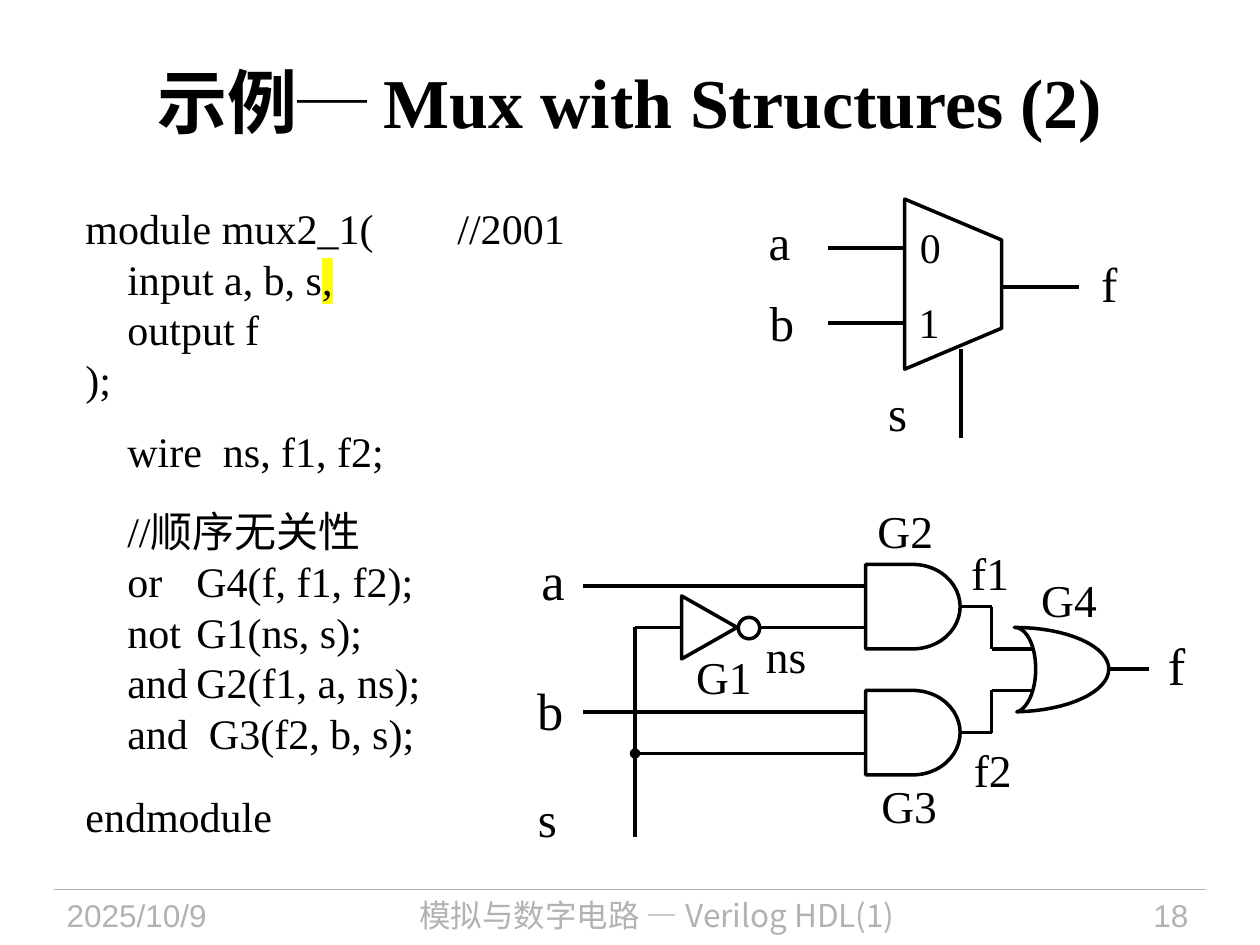
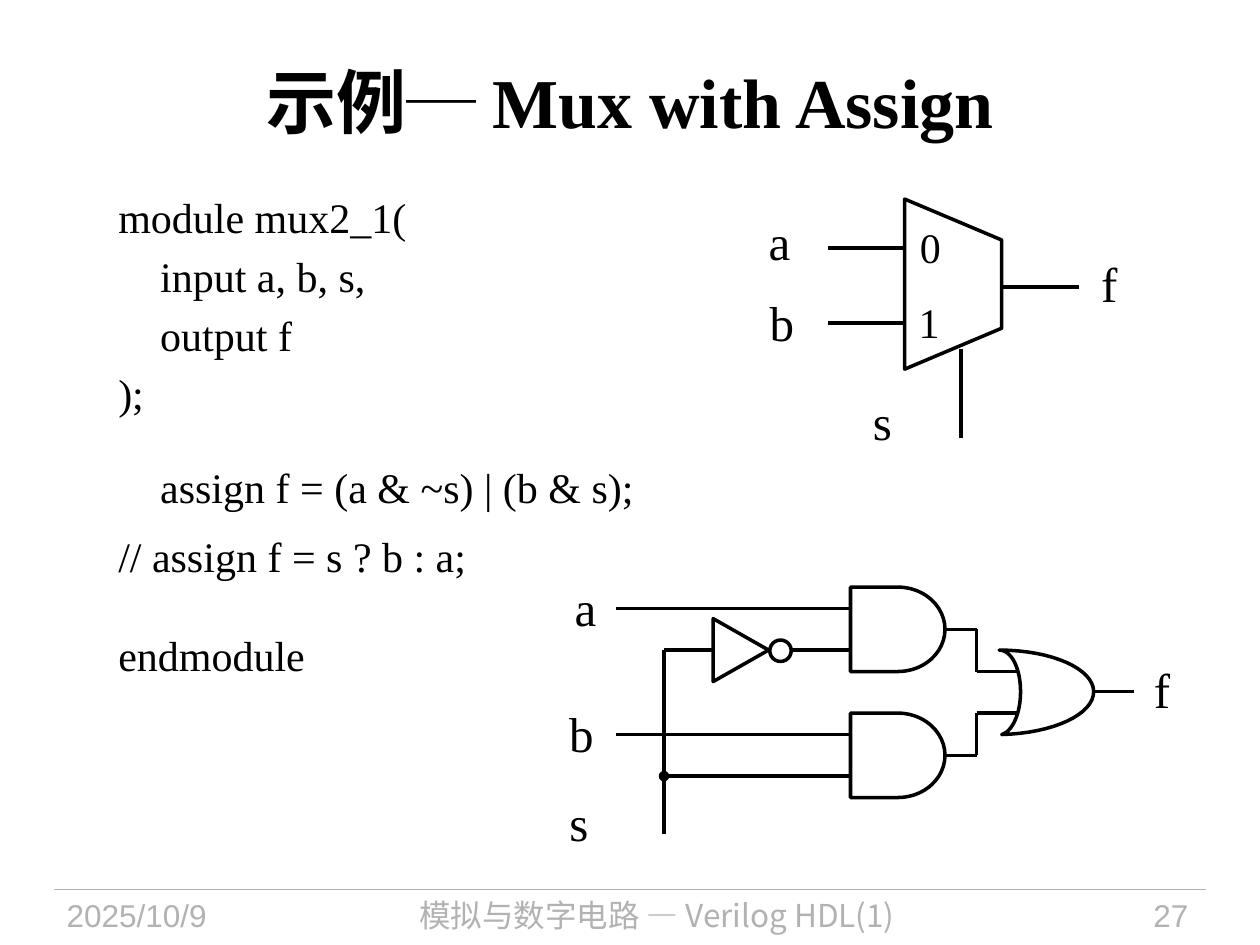
from lxml.etree import SubElement
from pptx import Presentation
from pptx.dml.color import RGBColor
from pptx.enum.shapes import MSO_CONNECTOR, MSO_SHAPE
from pptx.enum.text import MSO_ANCHOR, PP_ALIGN
from pptx.oxml.ns import qn
from pptx.util import Inches, Pt

HUE = {"ink": "000000", "gray": "B2B2B2", "mark": "FFFF00"}
SERIF, SANS, CJK = "Times New Roman", "Arial", "Noto Sans CJK SC"
ALIGN = {"l": PP_ALIGN.LEFT, "c": PP_ALIGN.CENTER, "r": PP_ALIGN.RIGHT}


def text(slide, paras, x, y, w, h, size=24, font=SERIF, hue="ink", bold=False,
         align="l", mid=False, wrap=True, inset=True, lead=None, after=0, hang=0):
    """Each paragraph is (space before, run, ...); a run is text or (text, font, mark)."""
    box = slide.shapes.add_textbox(Inches(x), Inches(y), Inches(w), Inches(h))
    frame = box.text_frame
    frame.word_wrap = wrap
    frame.vertical_anchor = MSO_ANCHOR.MIDDLE if mid else MSO_ANCHOR.TOP
    if not inset:
        frame.margin_left = frame.margin_right = 0
        frame.margin_top = frame.margin_bottom = 0
    if isinstance(paras, str):
        paras = [(0, paras)]
    for i, (before, *runs) in enumerate(paras):
        para = frame.add_paragraph() if i else frame.paragraphs[0]
        para.alignment = ALIGN[align]
        if hang:
            props = para._p.get_or_add_pPr()
            props.set("marL", str(Inches(hang)))
            props.set("indent", str(-Inches(hang)))
        if lead:
            para.line_spacing = lead
        para.space_before, para.space_after = Pt(before), Pt(after)
        for part in runs:
            words, face, mark = (part, font, None) if isinstance(part, str) else part
            run = para.add_run()
            run.text = words
            run.font.size, run.font.bold = Pt(size), bold
            run.font.color.rgb = RGBColor.from_string(HUE[hue])
            props = run._r.get_or_add_rPr()
            if mark:
                tint = SubElement(props, qn("a:highlight"))
                SubElement(tint, qn("a:srgbClr")).set("val", HUE[mark])
            run.font.name = face
            SubElement(props, qn("a:ea")).set("typeface", CJK)


def line(slide, x1, y1, x2, y2, width=2, hue="ink", dot=False, gate=None, side=None):
    """Draw a wire; a gate is joined at its left (1) or right (3) side."""
    wire = slide.shapes.add_connector(MSO_CONNECTOR.STRAIGHT, Inches(x1), Inches(y1),
                                      Inches(x2), Inches(y2))
    wire.line.color.rgb = RGBColor.from_string(HUE[hue])
    wire.line.width = Pt(width)
    if gate is not None:
        wire.begin_connect(gate, side)
    if dot:
        SubElement(wire.line._get_or_add_ln(), qn("a:headEnd")).set("type", "oval")
    SubElement(wire._element.spPr, qn("a:effectLst"))


# What differs between the slides
PAGES = [
    dict(
        title=" Mux with Structures (2)", page="18",
        code=[(0, "module mux2_1(        //2001"),
              (0, "    input a, b, s", (",", SERIF, "mark")),
              (0, "    output f"),
              (0, ");"),
              (12, "    wire  ns, f1, f2;"),
              (17, "    //顺序无关性"),
              (0, "    or\tG4(f, f1, f2);"),
              (0, "    not\tG1(ns, s);"),
              (0, "    and\tG2(f1, a, ns);"),
              (0, "    and  G3(f2, b, s);"),
              (19, "endmodule")],
        body=(0.58, 1.56, 4.53, 5.42), after=0, pick=(6.95, 2.99),
        gate=(6.87, 4.48), start=4.63, bus=5.04, base=6.64, inv=5.41,
        tags=[("a", 4.09, 4.38, 0.49, 30, "r"), ("b", 4.06, 5.41, 0.51, 30, "r"),
              ("s", 4.17, 6.28, 0.86, 28, "l"), ("f", 9.17, 5.05, 0.5, 30, "l"),
              ("ns", 5.98, 5, 0.97, 26, "l"),
              ("f1", 7.61, 4.34, 0.75, 26, "l"), ("f2", 7.63, 5.91, 0.75, 26, "l"),
              ("G1", 5.37, 5.17, 0.75, 26, "c"), ("G2", 6.81, 4.01, 0.75, 26, "c"),
              ("G3", 6.84, 6.19, 0.75, 26, "c"), ("G4", 8.11, 4.56, 0.75, 26, "c")]),
    dict(
        title=" Mux with Assign", page="27",
        code=[(0, "module mux2_1("),
              (0, "    input a, b, s,"),
              (0, "    output f"),
              (0, ");"),
              (20, "    assign f = (a & ~s) | (b & s);"),
              (6, "// assign f = s ? b : a;"),
              (22.5, "endmodule")],
        body=(0.84, 1.47, 7.19, 5.51), after=4.8, pick=(6.83, 3.06),
        gate=(6.75, 4.66), start=4.89, bus=5.27, base=6.62, inv=5.66,
        tags=[("a", 4.34, 4.61, 0.49, 28, "r"), ("b", 4.3, 5.61, 0.51, 28, "r"),
              ("s", 4.42, 6.31, 0.75, 28, "l"), ("f", 9.06, 5.26, 0.5, 28, "l")]),
]

# OR gate outline: front curves out, back curves home, from its top left corner
ORGATE = [((0, 0), (0.42, 0), (0.75, 0.15), (0.75, 0.33)),
          ((0.75, 0.33), (0.75, 0.51), (0.43, 0.66), (0.02, 0.67)),
          ((0.02, 0.67), (0.1, 0.65), (0.17, 0.51), (0.17, 0.33)),
          ((0.17, 0.33), (0.17, 0.15), (0.1, 0), (0, 0))]
STEPS = 16

deck = Presentation()
deck.slide_width, deck.slide_height = Inches(10), Inches(7.5)

for page in PAGES:
    slide = deck.slides.add_slide(deck.slide_layouts[6])

    # Title, code and footer
    text(slide, [(0, "示例", ("─", CJK, None), page["title"])], 0.5, 0.17, 9, 1.25,
         size=40, bold=True, align="c", mid=True)
    text(slide, page["code"], *page["body"], after=page["after"], hang=0.38)
    line(slide, 0.43, 7.06, 9.57, 7.06, width=0.75, hue="gray")
    for words, x, w, font, align in [
            ("2025/10/9", 0.43, 1.88, SANS, "l"),
            ("模拟与数字电路 — Verilog HDL(1)", 2.4, 5.63, CJK, "c"),
            (page["page"], 8.2, 1.33, SANS, "r")]:
        text(slide, words, x, 7.06, w, 0.44, size=18, font=font, hue="gray", align=align)

    # Mux symbol: wires and labels
    for ends in [(7.63, 3.48, 7.63, 2.77), (6.57, 2.56, 7.18, 2.56),
                 (7.95, 2.28, 8.56, 2.28), (6.57, 1.97, 7.18, 1.97)]:
        line(slide, *ends, width=2.25)
    for words, x, y, w, h, size, inset in [
            ("a", 6.1, 1.68, 0.17, 0.47, 28, False),
            ("b", 6.01, 2.27, 0.4, 0.57, 28, True),
            ("s", *page["pick"], 0.35, 0.57, 28, True),
            ("f", 8.64, 1.96, 0.33, 0.57, 28, True),
            ("0", 7.3, 1.76, 0.17, 0.4, 24, False),
            ("1", 7.29, 2.35, 0.17, 0.4, 24, False)]:
        text(slide, words, x, y, w, h, size=size, wrap=False, inset=inset)

    # Mux body, inverter and AND gates
    left, top = page["gate"]
    inv, bus, start = page["inv"], page["bus"], page["start"]
    parts = []
    for kind, x, y, w, h, turn in [
            (MSO_SHAPE.TRAPEZOID, 6.89, 1.87, 1.35, 0.77, 90),
            (MSO_SHAPE.ISOSCELES_TRIANGLE, inv - 0.03, top + 0.28, 0.5, 0.44, 90),
            (MSO_SHAPE.OVAL, inv + 0.45, top + 0.42, 0.17, 0.17, 0),
            (MSO_SHAPE.FLOWCHART_DELAY, left, top, 0.75, 0.67, 0),
            (MSO_SHAPE.FLOWCHART_DELAY, left, top + 1, 0.75, 0.67, 0)]:
        part = slide.shapes.add_shape(kind, Inches(x), Inches(y), Inches(w), Inches(h))
        part.rotation = turn
        parts.append(part)
    parts[0].adjustments[0] = 0.422
    gates = parts[3:]

    # OR gate
    dots = []
    for a, b, c, d in ORGATE:
        for i in range(1, STEPS + 1):
            t = i / STEPS
            u = 1 - t
            x, y = [u**3 * p + 3 * u * u * t * q + 3 * u * t * t * r + t**3 * s
                    for p, q, r, s in zip(a, b, c, d)]
            dots.append((Inches(left + 1.18 + x), Inches(top + 0.5 + y)))
    form = slide.shapes.build_freeform(*dots[-1], scale=1.0)
    form.add_line_segments(dots[:-1], close=True)
    parts.append(form.convert_to_shape())
    for part in parts:
        part.fill.background()
        part.line.color.rgb = RGBColor.from_string(HUE["ink"])
        part.line.width = Pt(2)
        part.shadow.inherit = False

    # Circuit wires
    knee = left + 1
    for i, gate in enumerate(gates):
        mid, turn = top + i + 0.67 / 2, top + 0.67 + i * 0.33
        line(slide, start, top + i + 0.17, left, top + i + 0.17)
        line(slide, left + 0.75, mid, knee, mid, gate=gate, side=3)
        line(slide, knee, mid, knee, turn)
        line(slide, knee, turn, knee + 0.33, turn)
    line(slide, left + 1.92, top + 0.83, left + 2.25, top + 0.83)
    line(slide, bus, top + 0.5, inv, top + 0.5)
    line(slide, inv + 0.62, top + 0.5, left, top + 0.5)
    line(slide, bus, top + 0.5, bus, page["base"])
    line(slide, bus, top + 1.5, left, top + 1.5, dot=True)

    # Circuit labels
    for words, x, y, w, size, align in page["tags"]:
        text(slide, words, x, y, w, 0.5, size=size, align=align, lead=0.85)

deck.save("out.pptx")
